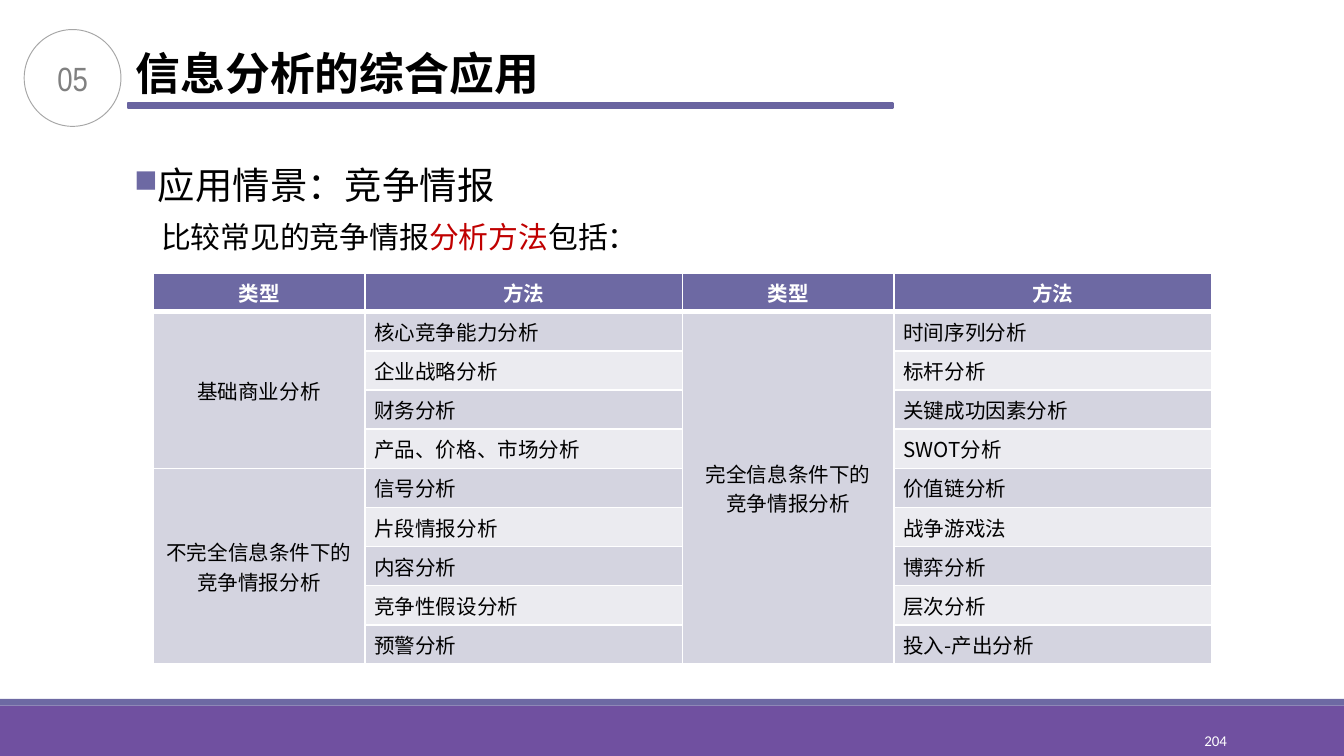
"""Builds the slide on competitive intelligence analysis methods."""
from lxml.etree import SubElement
from pptx import Presentation
from pptx.dml.color import RGBColor
from pptx.enum.shapes import MSO_SHAPE as Shape
from pptx.enum.text import MSO_ANCHOR as Anchor, MSO_AUTO_SIZE as AutoSize, PP_ALIGN as Align
from pptx.oxml.ns import qn
from pptx.util import Inches, Pt

COLORS = {
    "white": "FFFFFF", "black": "000000", "red": "C00000", "purple": "7050A0",
    "violet": "6D69A3", "rule": "6964A0", "ring": "A6A6A6", "gray": "808080",
    "dark_band": "D4D4E0", "light_band": "EBEBF0",
}
CJK = "Noto Sans CJK SC"
TIGHT = (0.07, 0.04)
COLUMNS, ROWS = 100, 56.25


class Deck:
    def __init__(self):
        self.show = Presentation()
        self.show.slide_width = Inches(10)
        self.show.slide_height = self.show.slide_width * 9 // 16
        self.slide = self.show.slides.add_slide(self.show.slide_layouts[6])

    def color(self, name):
        return RGBColor.from_string(COLORS[name])

    def area(self, left, top, width, height):
        column, row = self.show.slide_width / COLUMNS, self.show.slide_height / ROWS
        return [round(n) for n in (left * column, top * row, width * column, height * row)]

    def run(self, paragraph, text, size, color="black", font=CJK, bold=False):
        run = paragraph.add_run()
        run.text = text
        run.font.size, run.font.bold, run.font.name = Pt(size), bold, font
        run.font.color.rgb = self.color(color)
        SubElement(run.font._element, qn("a:ea"), typeface=font)

    def frame(self, holder, insets=TIGHT, anchor=Anchor.MIDDLE, wrap=True):
        frame = holder.text_frame
        frame.margin_left = frame.margin_right = Inches(insets[0])
        frame.margin_top = frame.margin_bottom = Inches(insets[1])
        frame.vertical_anchor, frame.word_wrap = anchor, wrap
        return frame

    def text_box(self, area, **layout):
        return self.frame(self.slide.shapes.add_textbox(*self.area(*area)), **layout)

    def shape(self, kind, area, fill=None, line=None, weight=0):
        shape = self.slide.shapes.add_shape(kind, *self.area(*area))
        shape.shadow.inherit = False
        if fill:
            shape.fill.solid()
            shape.fill.fore_color.rgb = self.color(fill)
        else:
            shape.fill.background()
        if line:
            shape.line.color.rgb = self.color(line)
            shape.line.width = Pt(weight)
        else:
            shape.line.fill.background()
        return shape

    def bullet(self, paragraph, mark, color, indent, percent):
        props = paragraph._p.get_or_add_pPr()
        props.set("marL", str(Inches(indent)))
        props.set("indent", str(-Inches(indent)))
        tint = SubElement(props, qn("a:buClr"))
        SubElement(tint, qn("a:srgbClr"), val=COLORS[color])
        SubElement(props, qn("a:buSzPct"), val=str(percent * 1000))
        SubElement(props, qn("a:buChar"), char=mark)

    def borders(self, cell, **weights):
        props = cell._tc.get_or_add_tcPr()
        for side in "LRTB":
            line = SubElement(props, qn(f"a:ln{side}"), w=str(Pt(weights.get(side, 1))))
            fill = SubElement(line, qn("a:solidFill"))
            SubElement(fill, qn("a:srgbClr"), val=COLORS["white"])

    def cell(self, cell, text, fill, align, color="black", bold=False, **weights):
        self.borders(cell, **weights)
        cell.fill.solid()
        cell.fill.fore_color.rgb = self.color(fill)
        cell.margin_left = cell.margin_right = Inches(0.07)
        cell.margin_top = cell.margin_bottom = 0
        cell.vertical_anchor = Anchor.MIDDLE
        for i, words in enumerate(text.split("\n")):
            frame = cell.text_frame
            paragraph = frame.add_paragraph() if i else frame.paragraphs[0]
            paragraph.alignment = align
            if words:
                self.run(paragraph, words, 11, color, bold=bold)

    def table(self, area, widths, headings, groups):
        left, top, width, height = self.area(*area)
        count = 1 + max(start + len(methods) for _, _, start, methods in groups)
        table = self.slide.shapes.add_table(
            count, len(widths), left, top, width, height).table
        for column, share in zip(table.columns, widths):
            column.width = round(width * share)
        for row in table.rows:
            row.height = round(height / count)
        for column, heading in enumerate(headings):
            self.cell(table.cell(0, column), heading, "violet", Align.CENTER, "white", True, B=3)
        for category, column, start, methods in groups:
            first = start + 1
            for row, method in enumerate(methods, first):
                top_line = 3 if row == 1 else 1
                band = "dark_band" if row % 2 else "light_band"
                label = category if row == first else ""
                self.cell(table.cell(row, column), label, "dark_band", Align.CENTER, T=top_line)
                self.cell(table.cell(row, column + 1), method, band, Align.LEFT, T=top_line)
            table.cell(first, column).merge(table.cell(start + len(methods), column))


def main():
    deck = Deck()
    deck.shape(Shape.RECTANGLE, (0, 52.5, COLUMNS, 3.75), "purple")
    deck.shape(Shape.RECTANGLE, (0, 52, COLUMNS, 0.5), "violet")
    page = deck.text_box((81.2, 53.6, 10.8, 3)).paragraphs[0]
    page.alignment = Align.RIGHT
    deck.run(page, "204", 8, "white", "Calibri")

    deck.shape(Shape.RECTANGLE, (9.5, 7.65, 56.9, 0.4), "rule", "rule", 1.25)
    badge = deck.shape(Shape.OVAL, (1.8, 2.2, 7.2, 7.2), line="ring", weight=0.5)
    chapter = deck.frame(badge).paragraphs[0]
    chapter.alignment = Align.CENTER
    deck.run(chapter, "05", 18, "gray", "Arial Narrow")
    title = deck.text_box((9.4, 3, 32, 4.8), anchor=Anchor.TOP, wrap=False)
    title.auto_size = AutoSize.SHAPE_TO_FIT_TEXT
    deck.run(title.paragraphs[0], "信息分析的综合应用", 24, bold=True)

    body = deck.text_box((9, 11.6, 86.1, 38.6), insets=(0.1, 0.05), anchor=Anchor.TOP)
    scenario, intro = body.paragraphs[0], body.add_paragraph()
    deck.bullet(scenario, "■", "violet", 0.07, 85)
    deck.run(scenario, "应用情景：竞争情报", 20)
    intro.space_before = Pt(6)
    intro._p.get_or_add_pPr().set("marL", str(Inches(0.2)))
    for words, color in (("比较常见的竞争情报", "black"), ("分析方法", "red"), ("包括：", "black")):
        deck.run(intro, words, 16, color)

    groups = [
        ("基础商业分析", 0, 0,
         ["核心竞争能力分析", "企业战略分析", "财务分析", "产品、价格、市场分析"]),
        ("不完全信息条件下的\n竞争情报分析", 0, 4,
         ["信号分析", "片段情报分析", "内容分析", "竞争性假设分析", "预警分析"]),
        ("完全信息条件下的\n竞争情报分析", 2, 0,
         ["时间序列分析", "标杆分析", "关键成功因素分析", "SWOT分析", "价值链分析",
          "战争游戏法", "博弈分析", "层次分析", "投入-产出分析"]),
    ]
    deck.table((11.4, 20.3, 78.75, 29.1), (0.2, 0.3) * 2, ("类型", "方法") * 2, groups)
    deck.show.save("out.pptx")


if __name__ == "__main__":
    main()
